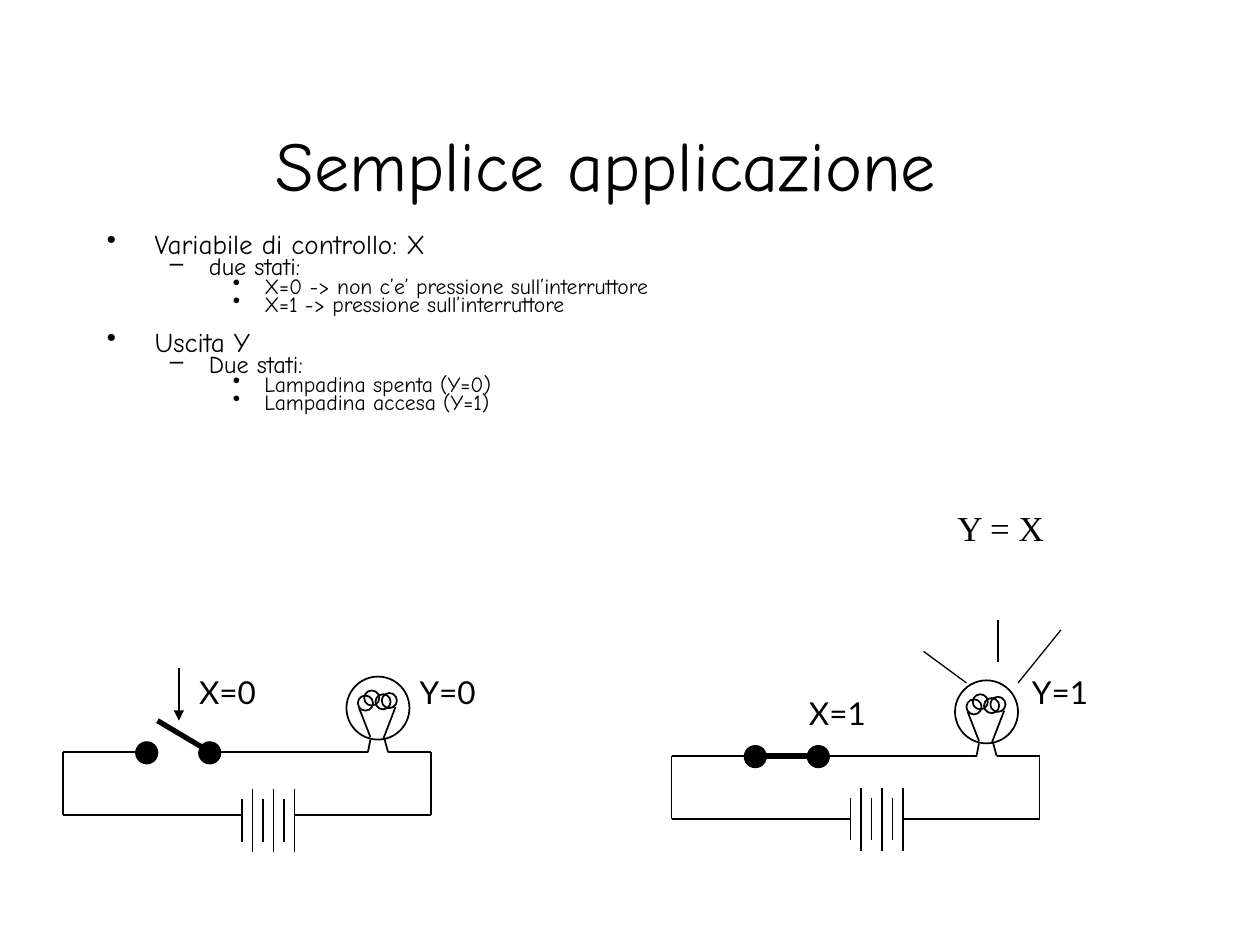
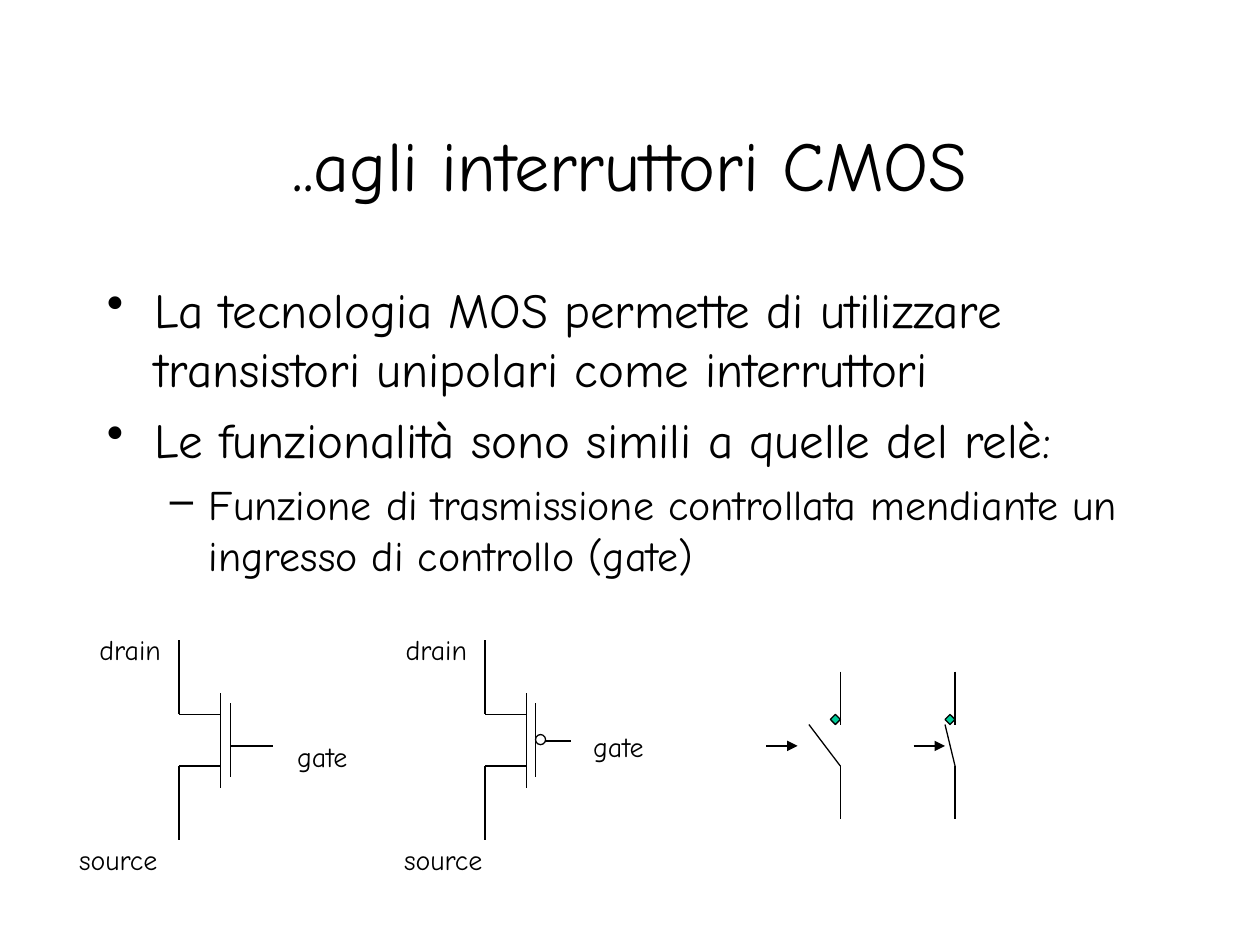
from dataclasses import dataclass

from lxml.etree import SubElement
from pptx import Presentation
from pptx.dml.color import RGBColor
from pptx.enum.shapes import MSO_CONNECTOR as Connector, MSO_SHAPE as Shape
from pptx.enum.text import MSO_ANCHOR as Anchor, MSO_AUTO_SIZE as AutoSize, PP_ALIGN as Align
from pptx.oxml.ns import qn
from pptx.util import Inches, Pt


@dataclass(frozen=True)
class Theme:
    ink: str = "000000"
    paper: str = "FFFFFF"
    contact: str = "00CC99"
    hand: str = "Comic Neue"
    sans: str = "Lato"
    serif: str = "Times New Roman"
    title: float = 40
    formula: float = 20
    state: float = 18
    pin: float = 16
    compact: tuple = (15.5, 13.9, 12.4)
    regular: tuple = (28, 24)
    thin: float = 0.75
    wire: float = 1
    arm: float = 3


# Bullet character, left margin and hanging indent of each list level
LEVELS = (("•", 0.38, 0.38), ("–", 0.81, 0.31), ("•", 1.25, 0.25))


def write(para, text, *, size, font, color, align=Align.LEFT, spacing=None, before=0):
    """Add formatted text to a paragraph."""
    para.alignment = align
    para.space_before = Pt(before)
    if spacing:
        para.line_spacing = spacing
    span = para.add_run()
    span.text = text
    span.font.size, span.font.name = Pt(size), font
    span.font.color.rgb = RGBColor.from_string(color)


def add_bullet(para, level, color):
    mark, margin, hang = LEVELS[level]
    para.level = level
    props = para._p.get_or_add_pPr()
    props.set("marL", str(Inches(margin)))
    props.set("indent", str(-Inches(hang)))
    tint = SubElement(props, qn("a:buClr"))
    SubElement(tint, qn("a:srgbClr"), val=color)
    SubElement(props, qn("a:buChar"), char=mark)


class Board:
    """Holds the theme and the current page."""

    def __init__(self, theme):
        self.theme = theme
        self.deck = Presentation()
        self.deck.slide_width, self.deck.slide_height = Inches(10), Inches(7.5)
        self.page = None

    def new_page(self, title, right_inset=0.1):
        self.page = self.deck.slides.add_slide(self.deck.slide_layouts[6])
        frame = self.frame(0.75, 0.67, 8.5, 1.25)
        frame.vertical_anchor = Anchor.MIDDLE
        frame.margin_right = Inches(right_inset)
        write(frame.paragraphs[0], title, size=self.theme.title, font=self.theme.hand,
              color=self.theme.ink, align=Align.CENTER)

    def frame(self, left, top, width, height):
        box = self.page.shapes.add_textbox(
            Inches(left), Inches(top), Inches(width), Inches(height))
        box.text_frame.word_wrap = True
        return box.text_frame

    def bullets(self, top, height, items, sizes, spacing=None):
        """Items are (level, text, space before)."""
        frame = self.frame(0.75, top, 8.5, height)
        for index, (level, text, before) in enumerate(items):
            para = frame.add_paragraph() if index else frame.paragraphs[0]
            add_bullet(para, level, self.theme.ink)
            write(para, text, size=sizes[level], font=self.theme.hand,
                  color=self.theme.ink, spacing=spacing, before=before)

    def label(self, text, left, top, width, height, size, font):
        frame = self.frame(left, top, width, height)
        frame.word_wrap = False
        frame.auto_size = AutoSize.SHAPE_TO_FIT_TEXT
        write(frame.paragraphs[0], text, size=size, font=font, color=self.theme.ink)

    def state(self, text, left, top):
        frame = self.frame(left, top, 0.6, 0.49)
        frame.word_wrap = False
        frame.margin_left = frame.margin_right = Inches(0.02)
        frame.margin_top = frame.margin_bottom = Inches(0.03)
        write(frame.paragraphs[0], text, size=self.theme.state, font=self.theme.sans,
              color=self.theme.ink, spacing=Pt(26))

    def pin(self, text, left, top, width):
        self.label(text, left, top, width, 0.37, self.theme.pin, self.theme.hand)

    def line(self, x1, y1, x2, y2, weight, arrow=False):
        link = self.page.shapes.add_connector(
            Connector.STRAIGHT, Inches(x1), Inches(y1), Inches(x2), Inches(y2))
        link.line.width = Pt(weight)
        link.line.color.rgb = RGBColor.from_string(self.theme.ink)
        if arrow:
            SubElement(link.line._get_or_add_ln(), qn("a:tailEnd"), type="triangle")
        SubElement(link._element.spPr, qn("a:effectLst"))

    def lines(self, left, top, segments, weight):
        """Draw segments given relative to a corner."""
        for x1, y1, x2, y2 in segments:
            self.line(left + x1, top + y1, left + x2, top + y2, weight)

    def shape(self, kind, left, top, size, weight, fill=None):
        shape = self.page.shapes.add_shape(
            kind, Inches(left), Inches(top), Inches(size), Inches(size))
        shape.shadow.inherit = False
        shape.line.width = Pt(weight)
        shape.line.color.rgb = RGBColor.from_string(self.theme.ink)
        if fill:
            shape.fill.solid()
            shape.fill.fore_color.rgb = RGBColor.from_string(fill)
        else:
            shape.fill.background()


# Circuit parts, relative to the upper left corner of the loop
LOOP = ((1.17, 0, 2.08, 0), (2.08, 0, 2.42, 0), (2.58, 0, 2.92, 0),
        (2.92, 0, 2.92, 0.5), (2.92, 0.5, 1.83, 0.5), (1.42, 0.5, 0, 0.5),
        (0, 0.5, 0, 0), (0, 0, 0.67, 0))
BULB_LEADS = ((2.35, -0.35, 2.44, -0.12), (2.64, -0.36, 2.54, -0.1),
              (2.44, -0.1, 2.42, 0), (2.55, -0.11, 2.58, 0))
FILAMENT = ((2.34, -0.45), (2.48, -0.46), (2.53, -0.47), (2.39, -0.49))


def draw_circuit(board, left, top, arm_end, battery_middle):
    theme = board.theme
    board.lines(left, top, LOOP, theme.wire)

    # Bulb
    board.shape(Shape.OVAL, left + 2.25, top - 0.6, 0.5, theme.wire, theme.paper)
    for x, y in FILAMENT:
        board.shape(Shape.OVAL, left + x, top + y, 0.12, theme.wire)
    board.lines(left, top, BULB_LEADS, theme.wire)

    # Switch
    board.lines(left, top, [(1.17, 0, *arm_end)], theme.arm)
    for x in (0.58, 1.08):
        board.shape(Shape.OVAL, left + x, top - 0.08, 0.17, theme.wire, theme.ink)

    # Battery
    for plate in range(6):
        x = left + 1.42 + plate * 0.5 / 6
        half = 0.25 if plate % 2 else 0.17
        board.line(x, battery_middle - half, x, battery_middle + half, theme.wire)


def draw_transistor(board, left, gate_gap, source_left, gate_label):
    channel = left + 0.33
    segments = ((channel, 5.5, channel, 6.25), (left, 5.08, left, 5.67),
                (left, 5.67, channel, 5.67), (left, 6.08, channel, 6.08),
                (left, 6.08, left, 6.67),
                (left + gate_gap, 5.58, left + gate_gap, 6.17))
    board.lines(0, 0, segments, board.theme.thin)
    board.pin("drain", left - 0.73, 4.97, 0.69)
    board.pin("source", source_left, 6.64, 0.83)
    board.pin("gate", *gate_label, 0.6)


def draw_contact(board, x, arm_left, arrow_tip):
    thin = board.theme.thin
    board.lines(x, 0, ((0, 5.33, 0, 5.75), (0, 6.08, 0, 6.5),
                       (arm_left, 5.75, 0, 6.08)), thin)
    board.line(x + arrow_tip - 0.25, 5.92, x + arrow_tip, 5.92, thin, arrow=True)
    board.shape(Shape.DIAMOND, x - 0.08, 5.67, 0.08, thin, board.theme.contact)


def build_lamp_page(board):
    theme = board.theme
    board.new_page("Semplice applicazione", right_inset=0.48)
    board.bullets(1.83, 1.67, (
        (0, "Variabile di controllo: X", 0),
        (1, "due stati:", 0),
        (2, "X=0 -> non c’e’ pressione sull’interruttore", 0),
        (2, "X=1 -> pressione sull’interruttore", 0),
        (0, "Uscita Y", 10.5),
        (1, "Due stati:", 0),
        (2, "Lampadina spenta (Y=0)", 0),
        (2, "Lampadina accesa (Y=1)", 0),
    ), theme.compact, spacing=0.7)
    board.label("Y = X", 7.5, 3.97, 0.9, 0.44, theme.formula, theme.serif)

    # Open switch, lamp off
    draw_circuit(board, 0.5, 5.97, (0.75, -0.25), 6.51)
    board.line(1.42, 5.3, 1.42, 5.72, theme.wire, arrow=True)
    board.state("X=0", 1.56, 5.25)
    board.state("Y=0", 3.31, 5.25)

    # Closed switch, lamp on
    draw_circuit(board, 5.33, 6, (0.67, 0), 6.5)
    board.state("X=1", 6.4, 5.42)
    board.state("Y=1", 8.17, 5.25)
    rays = ((7.67, 5.42, 7.33, 5.17), (7.92, 5.25, 7.92, 4.92), (8.08, 5.42, 8.42, 5))
    board.lines(0, 0, rays, theme.thin)


def build_cmos_page(board):
    theme = board.theme
    board.new_page("..agli interruttori CMOS")
    board.bullets(2.17, 4.5, (
        (0, "La tecnologia MOS permette di utilizzare transistori unipolari "
            "come interruttori", 0),
        (0, "Le funzionalità sono simili a quelle del relè:", 7),
        (1, "Funzione di trasmissione controllata mendiante un ingresso "
            "di controllo (gate)", 6),
    ), theme.regular)

    # Transistors, the second with an inverting gate
    draw_transistor(board, 1.42, 0.41, 0.53, (2.26, 5.82))
    board.line(1.83, 5.92, 2.17, 5.92, theme.thin)
    draw_transistor(board, 3.85, 0.4, 3.11, (4.61, 5.74))
    board.line(4.28, 5.88, 4.53, 5.88, theme.thin)
    board.shape(Shape.OVAL, 4.25, 5.83, 0.08, theme.thin, theme.paper)

    # Equivalent contacts, open and closed
    draw_contact(board, 6.67, -0.25, -0.34)
    draw_contact(board, 7.58, -0.08, -0.08)


def main():
    board = Board(Theme())
    build_lamp_page(board)
    build_cmos_page(board)
    board.deck.save("out.pptx")


if __name__ == "__main__":
    main()
